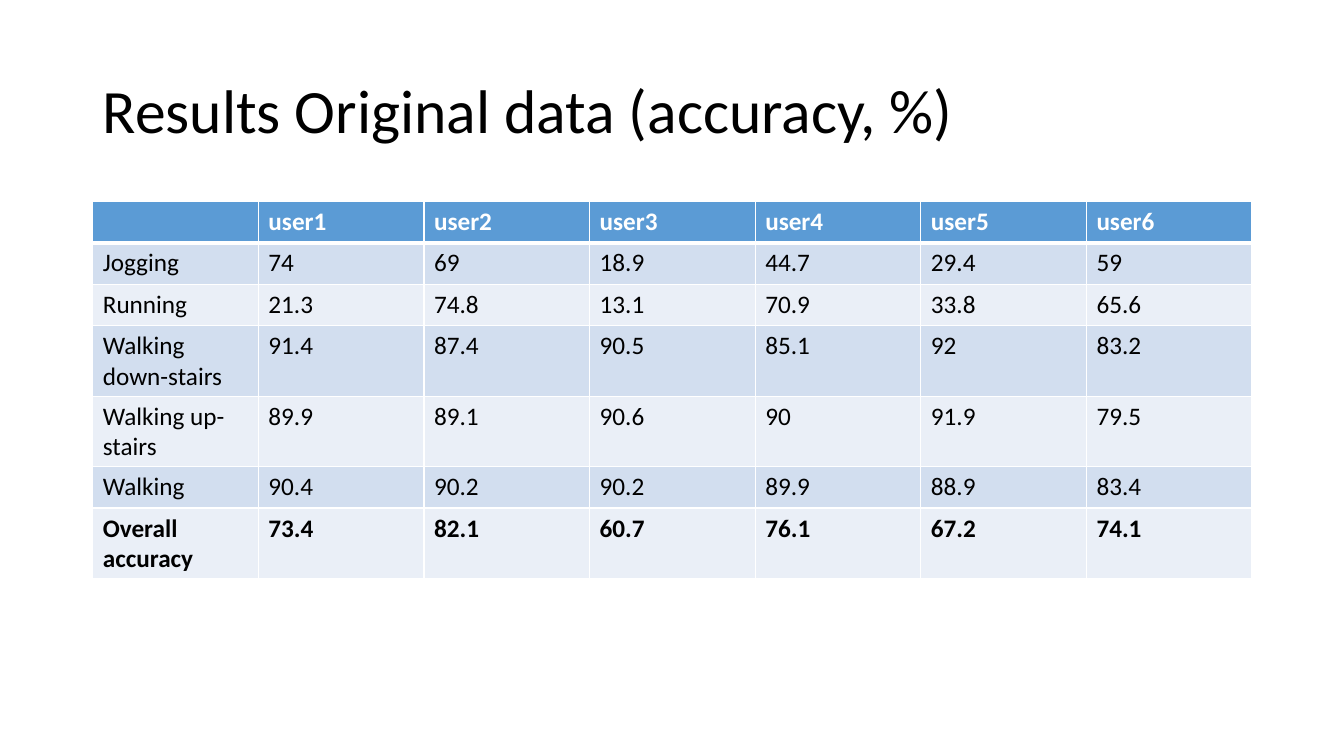
from lxml import etree
from pptx import Presentation
from pptx.dml.color import RGBColor
from pptx.enum.text import MSO_ANCHOR
from pptx.oxml.ns import qn
from pptx.util import Inches, Pt

MIDDLE = MSO_ANCHOR.MIDDLE
BLACK = RGBColor(0x00, 0x00, 0x00)
WHITE = RGBColor(0xFF, 0xFF, 0xFF)
HEADER_BLUE = RGBColor(0x5B, 0x9B, 0xD5)
BAND_DARK = RGBColor(0xD2, 0xDE, 0xEF)
BAND_LIGHT = RGBColor(0xEA, 0xEF, 0xF7)

LEFT, WIDTH = 0.92, 11.5
ROW_HEIGHT = 0.41

ACCURACY = [
    ["", "user1", "user2", "user3", "user4", "user5", "user6"],
    ["Jogging", "74", "69", "18.9", "44.7", "29.4", "59"],
    ["Running", "21.3", "74.8", "13.1", "70.9", "33.8", "65.6"],
    ["Walking down-stairs", "91.4", "87.4", "90.5", "85.1", "92", "83.2"],
    ["Walking up-stairs", "89.9", "89.1", "90.6", "90", "91.9", "79.5"],
    ["Walking", "90.4", "90.2", "90.2", "89.9", "88.9", "83.4"],
    ["Overall accuracy", "73.4", "82.1", "60.7", "76.1", "67.2", "74.1"],
]


class ResultsSlide:
    font_name = "Calibri"

    def __init__(self, slide):
        self.slide = slide

    def style(self, paragraph, size, color, bold=False):
        font = paragraph.font
        font.name, font.size, font.bold = self.font_name, Pt(size), bold
        font.color.rgb = color

    def title(self, text, left, top, width, height):
        box = self.slide.shapes.add_textbox(
            Inches(left), Inches(top), Inches(width), Inches(height))
        frame = box.text_frame
        frame.word_wrap = True
        frame.vertical_anchor = MIDDLE
        heading = frame.paragraphs[0]
        heading.text = text
        heading.line_spacing = 0.9
        self.style(heading, 44, BLACK)

    def border(self, cell, side, points):
        line = etree.SubElement(cell._tc.get_or_add_tcPr(), qn(f"a:ln{side}"), w=str(Pt(points)))
        fill = etree.SubElement(line, qn("a:solidFill"))
        etree.SubElement(fill, qn("a:srgbClr"), val=str(WHITE))

    def cell(self, cell, text, fill, color, bold, top, bottom):
        for side, points in (("L", 1), ("R", 1), ("T", top), ("B", bottom)):
            self.border(cell, side, points)
        cell.fill.solid()
        cell.fill.fore_color.rgb = fill
        cell.text = text
        self.style(cell.text_frame.paragraphs[0], 18, color, bold)

    def table(self, rows, left, top, width):
        table = self.slide.shapes.add_table(
            len(rows), len(rows[0]), Inches(left), Inches(top),
            Inches(width), Inches(ROW_HEIGHT * len(rows))).table
        last = len(rows) - 1
        for r, values in enumerate(rows):
            header = r == 0
            band = BAND_DARK if r % 2 else BAND_LIGHT
            for c, value in enumerate(values):
                self.cell(table.cell(r, c), value,
                          fill=HEADER_BLUE if header else band,
                          color=WHITE if header else BLACK,
                          bold=r in (0, last),
                          top=3 if r == 1 else 1,
                          bottom=3 if header else 1)


def main():
    deck = Presentation()
    deck.slide_width, deck.slide_height = Inches(13.33), Inches(7.5)
    results = ResultsSlide(deck.slides.add_slide(deck.slide_layouts[6]))
    results.title("Results Original data (accuracy, %)", LEFT, 0.4, WIDTH, 1.45)
    results.table(ACCURACY, LEFT, 2, WIDTH)
    deck.save("out.pptx")


if __name__ == "__main__":
    main()
